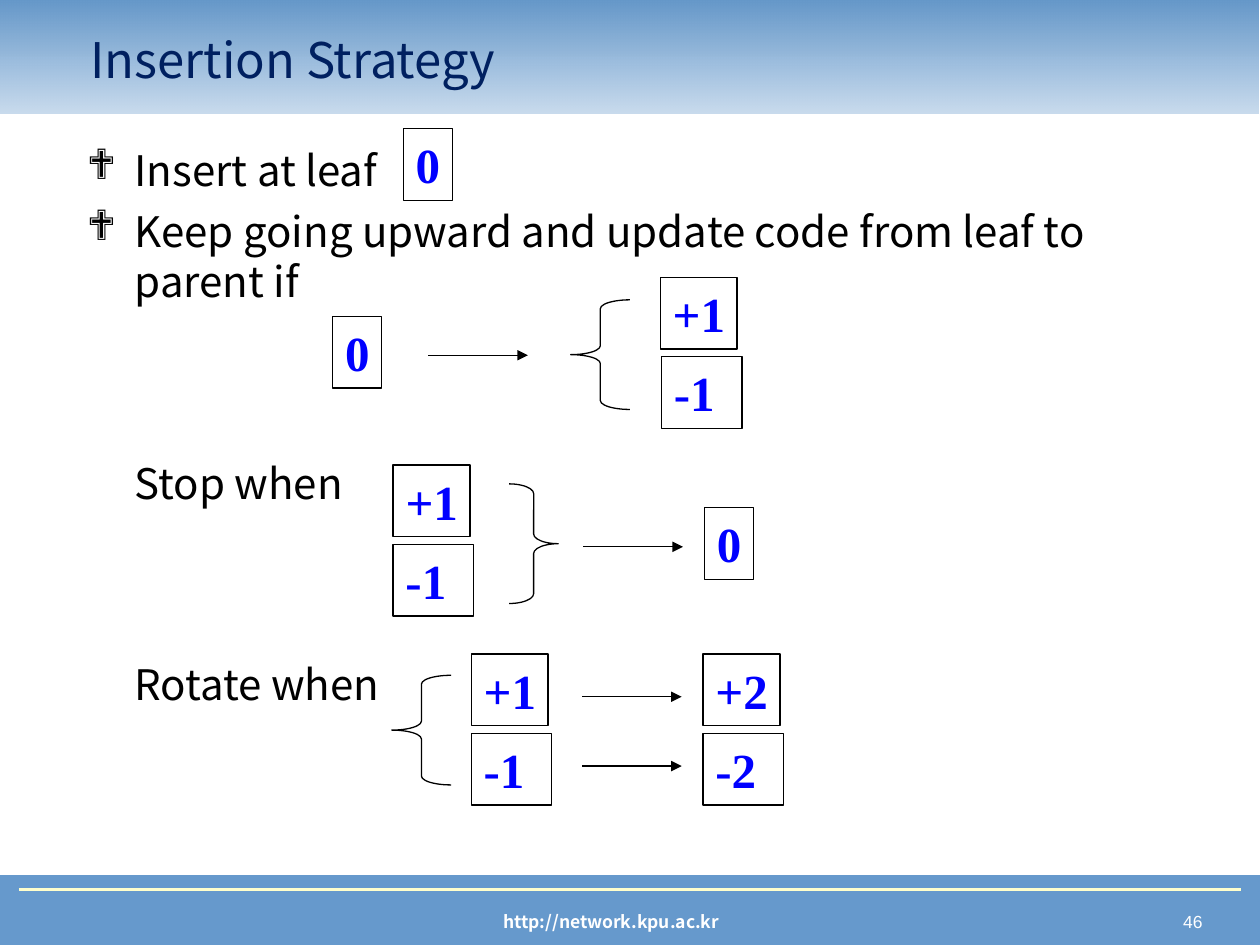
"""Build the AVL insertion strategy slide."""
from dataclasses import dataclass

from lxml.etree import SubElement
from pptx import Presentation
from pptx.dml.color import RGBColor
from pptx.enum.shapes import MSO_CONNECTOR as CONN, MSO_SHAPE as SHAPE
from pptx.enum.text import MSO_ANCHOR as ANCHOR, MSO_AUTO_SIZE as AUTO, PP_ALIGN as ALIGN
from pptx.oxml.ns import qn
from pptx.util import Inches, Pt

BLUE = RGBColor(0x66, 0x99, 0xCC)
HEADER_BLUE = RGBColor(0x64, 0x97, 0xC9)
CREAM = RGBColor(0xFF, 0xFF, 0xCC)
NAVY = RGBColor(0x00, 0x20, 0x60)
CODE_BLUE = RGBColor(0x00, 0x00, 0xFF)
BLACK = RGBColor(0, 0, 0)
WHITE = RGBColor(0xFF, 0xFF, 0xFF)
SANS = "Noto Sans CJK KR"
SERIF = "Times New Roman"
BOX_HEIGHT = 0.57
BOX_WIDTHS = {"0": 0.39, "+": 0.61, "-": 0.64}
ARROW_LENGTH = 0.79


@dataclass(frozen=True)
class Code:
    text: str
    left: float
    top: float


@dataclass(frozen=True)
class Brace:
    kind: SHAPE
    left: float
    top: float
    width: float
    height: float


@dataclass(frozen=True)
class Arrow:
    left: float
    y: float


@dataclass(frozen=True)
class Item:
    lines: tuple[str, ...]
    space_before: float = 0
    bullet: bool = False


CODES = (
    Code("0", 3.2, 1.02),
    Code("0", 2.64, 2.51), Code("+1", 5.24, 2.2), Code("-1", 5.25, 2.83),
    Code("+1", 3.12, 3.69), Code("-1", 3.12, 4.32), Code("0", 5.59, 4.03),
    Code("+1", 3.74, 5.19), Code("-1", 3.74, 5.82),
    Code("+2", 5.58, 5.19), Code("-2", 5.58, 5.82),
)
BRACES = (
    Brace(SHAPE.LEFT_BRACE, 4.53, 2.38, 0.47, 0.87),
    Brace(SHAPE.RIGHT_BRACE, 4.04, 3.84, 0.39, 0.95),
    Brace(SHAPE.LEFT_BRACE, 3.11, 5.36, 0.47, 0.87),
)
ARROWS = (Arrow(3.4, 2.82), Arrow(4.63, 4.34), Arrow(4.62, 5.53), Arrow(4.62, 6.08))
ITEMS = (
    Item(("Insert at leaf",), bullet=True),
    Item(("Keep going upward and update code from leaf to", "parent if"), 6, True),
    Item(("Stop when",), 86.5),
    Item(("Rotate when",), 86.5),
)


def add_shape(s, kind: SHAPE, left: float, top: float, width: float, height: float,
              line: RGBColor | None = BLACK):
    sp = s.shapes.add_shape(kind, Inches(left), Inches(top), Inches(width), Inches(height))
    sp.shadow.inherit = False
    sp.fill.background()
    if line is None:
        sp.line.fill.background()
    else:
        sp.line.color.rgb = line
        sp.line.width = Pt(0.75)
    return sp


def add_run(p, text: str, size: float, color: RGBColor, font: str = SANS,
            bold: bool = False) -> None:
    r = p.add_run()
    r.text = text
    r.font.size = Pt(size)
    r.font.name = font
    r.font.bold = bold
    r.font.color.rgb = color
    r_pr = r.font._element
    SubElement(r_pr, qn("a:ea")).set("typeface", font)


def add_text_frame(s, left: float, top: float, width: float, height: float):
    sp = s.shapes.add_textbox(Inches(left), Inches(top), Inches(width), Inches(height))
    tf = sp.text_frame
    tf.word_wrap = True
    return tf


def add_line(s, left: float, right: float, y: float, color: RGBColor, width: float):
    line = s.shapes.add_connector(CONN.STRAIGHT, Inches(left), Inches(y), Inches(right), Inches(y))
    line.line.color.rgb = color
    line.line.width = Pt(width)
    SubElement(line._element.spPr, qn("a:effectLst"))
    return line


def add_code(s, code: Code) -> None:
    sp = add_shape(s, SHAPE.RECTANGLE, code.left, code.top, BOX_WIDTHS[code.text[0]], BOX_HEIGHT)
    tf = sp.text_frame
    tf.word_wrap = True
    tf.auto_size = AUTO.NONE
    tf.margin_right = Inches(0.02)
    tf.vertical_anchor = ANCHOR.TOP
    p = tf.paragraphs[0]
    p.alignment = ALIGN.LEFT
    add_run(p, code.text, 28, CODE_BLUE, SERIF, True)


def add_brace(s, brace: Brace) -> None:
    sp = add_shape(s, brace.kind, brace.left, brace.top, brace.width, brace.height)
    sp.adjustments[0] = round(brace.height / 12 / brace.width, 2)


def add_arrow(s, arrow: Arrow) -> None:
    line = add_line(s, arrow.left, arrow.left + ARROW_LENGTH, arrow.y, BLACK, 0.75)
    SubElement(line.line._get_or_add_ln(), qn("a:tailEnd")).set("type", "triangle")


def add_item(p, item: Item) -> None:
    p_pr = p._p.get_or_add_pPr()
    p_pr.set("marL", str(Inches(0.38)))
    p_pr.set("indent", str(Inches(-0.38 if item.bullet else 0)))
    p.line_spacing = Pt(28.7)
    p.space_before = Pt(item.space_before)
    if item.bullet:
        color = SubElement(p_pr, qn("a:buClr"))
        SubElement(color, qn("a:srgbClr")).set("val", str(BLACK))
        SubElement(p_pr, qn("a:buFont")).set("typeface", "Wingdings")
        SubElement(p_pr, qn("a:buChar")).set("char", "❖")
    for i, text in enumerate(item.lines):
        if i:
            p.add_line_break()
        add_run(p, text, 24, BLACK)


def add_frame(s) -> None:
    footer = add_shape(s, SHAPE.RECTANGLE, 0, 6.95, 10, 0.55, BLUE)
    footer.fill.solid()
    footer.fill.fore_color.rgb = BLUE

    p = add_text_frame(s, 7.42, 7.18, 2.26, 0.27).paragraphs[0]
    p.alignment = ALIGN.RIGHT
    add_run(p, " 46 ", 10, WHITE, "Arial")
    p = add_text_frame(s, 2.27, 7.18, 5.16, 0.27).paragraphs[0]
    p.alignment = ALIGN.CENTER
    add_run(p, "http://network.kpu.ac.kr", 10, WHITE, bold=True)
    add_line(s, 0.15, 9.85, 7.06, CREAM, 1.5)

    header = add_shape(s, SHAPE.RECTANGLE, -0.01, 0, 10, 0.9, None)
    header.fill.gradient()
    header.fill.gradient_angle = 90
    for stop, color, position in zip(header.fill.gradient_stops, (BLUE, HEADER_BLUE), (0, 1)):
        stop.color.rgb = color
        stop.position = position
    pale = next(header._element.spPr.iter(qn("a:srgbClr")))
    SubElement(pale, qn("a:alpha")).set("val", "35000")


def main() -> None:
    prs = Presentation()
    prs.slide_width, prs.slide_height = Inches(10), Inches(7.5)
    s = prs.slides.add_slide(prs.slide_layouts[6])
    add_frame(s)

    tf = add_text_frame(s, 0.62, 0.16, 8.44, 0.62)
    tf.vertical_anchor = ANCHOR.MIDDLE
    add_run(tf.paragraphs[0], "Insertion Strategy", 28, NAVY)

    tf = add_text_frame(s, 0.59, 1.1, 9.21, 5)
    for i, item in enumerate(ITEMS):
        add_item(tf.add_paragraph() if i else tf.paragraphs[0], item)

    for code in CODES:
        add_code(s, code)
    for brace in BRACES:
        add_brace(s, brace)
    for arrow in ARROWS:
        add_arrow(s, arrow)
    prs.save("out.pptx")


if __name__ == "__main__":
    main()
